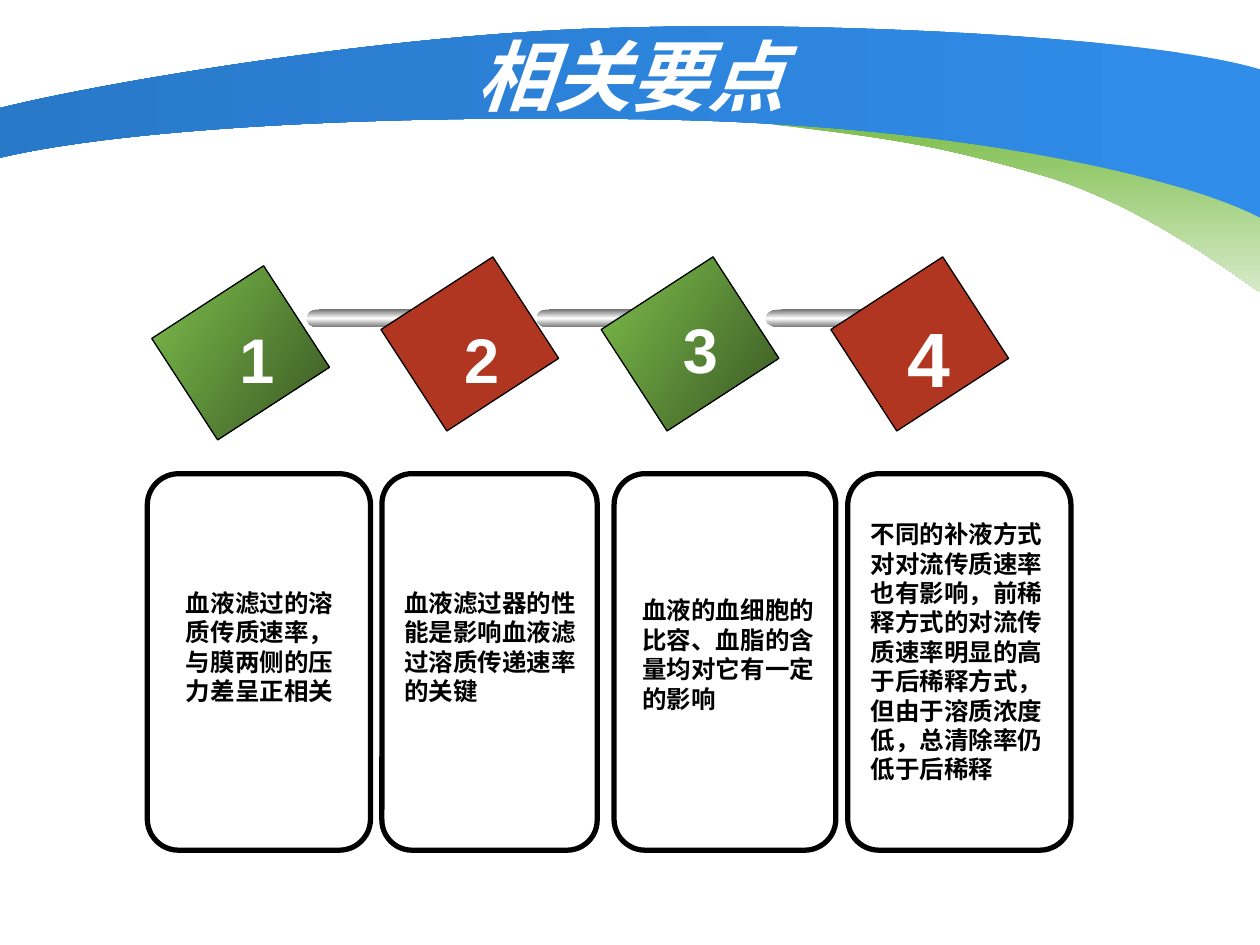
import pptx
import pptx.dml.color
import pptx.enum.shapes
import pptx.enum.text
import pptx.oxml.ns
import pptx.util
from lxml import etree

Cm = pptx.util.Cm
Pt = pptx.util.Pt
RGBColor = pptx.dml.color.RGBColor
Shape = pptx.enum.shapes.MSO_SHAPE
Align = pptx.enum.text.PP_ALIGN
Anchor = pptx.enum.text.MSO_ANCHOR
qn = pptx.oxml.ns.qn

WHITE = RGBColor(0xFF, 0xFF, 0xFF)
BLACK = RGBColor(0x00, 0x00, 0x00)
RED = RGBColor(0xB1, 0x36, 0x21)
GREEN = RGBColor(0x7D, 0xBE, 0x4C)
DARK_GREEN = RGBColor(0x39, 0x57, 0x23)
PALE_GREEN = RGBColor(0xD6, 0xEA, 0xC8)
BLUE = RGBColor(0x30, 0x8D, 0xEA)
DARK_BLUE = RGBColor(0x29, 0x79, 0xC9)
GRAY = RGBColor(0x75, 0x75, 0x75)

METAL = ([GRAY, WHITE, GRAY], 90)
LEAF = ([GREEN, DARK_GREEN], 33)

TITLE = {"name": "DejaVu Sans", "size": Pt(44), "bold": True, "italic": True}
NUMBER = {"name": "Arial", "size": Pt(36), "bold": True}
LAST_NUMBER = {**NUMBER, "size": Pt(44)}
BODY = {"name": "Arial", "size": Pt(14), "bold": True}

# Each outline is a start point and segments: 3 points for a curve, 1 for a line.
GREEN_SWOOSH = [
    (15.14, 2.46),
    [(17.86, 2.77), (18.8, 2.9), (20.93, 3.51)],
    [(23.04, 4.09), (25.2, 5.77), (25.4, 5.89)],
    [(25.43, 4.37)],
    [(24.43, 3.84), (21.21, 2.92), (19.51, 2.62)],
]
BLUE_BAND = [
    (0, 3.18),
    [(2.06, 2.69), (6.65, 2.29), (13.31, 2.41)],
    [(19.96, 2.54), (24.18, 3.73), (25.4, 4.39)],
    [(25.4, 1.4)],
    [(23.24, 0.74), (16.74, 0.43), (12.52, 0.56)],
    [(7.92, 0.66), (1.98, 1.68), (0, 2.18)],
]

# left, width
PANELS = [(2.97, 4.5), (7.7, 4.34), (12.38, 4.47), (17.09, 4.5)]
# left, top, fill
DIAMONDS = [(3.63, 5.77, LEAF), (8.25, 5.59, RED),
            (12.69, 5.59, LEAF), (17.32, 5.59, RED)]
# left, horizontal scale
RODS = [(6.19, 1), (10.82, 1), (15.44, 1.3)]
# preset, offset, top, width, height, line
ROD_PARTS = [
    (Shape.OVAL, 0, 6.24, 0.43, 0.36, None),
    (Shape.RECTANGLE, 0.24, 6.24, 2.08, 0.36, None),
    (Shape.OVAL, 2.13, 6.24, 0.38, 0.33, (WHITE, 1)),
    (Shape.OVAL, 2.34, 6.35, 0.1, 0.1, None),
]
NUMBERS = [
    ("1", (3.52, 6.34, 2.26, 1.78), NUMBER, Align.RIGHT),
    ("2", (9.1, 6.34, 1.22, 1.78), NUMBER, Align.CENTER),
    ("3", (13.51, 6.14, 1.22, 1.78), NUMBER, Align.CENTER),
    ("4", (18.05, 6.14, 1.37, 2.13), LAST_NUMBER, Align.CENTER),
]
POINTS = [
    ("血液滤过的溶质传质速率，与膜两侧的压力差呈正相关", (3.5, 9.93, 3.81, 4.42)),
    ("血液滤过器的性能是影响血液滤过溶质传递速率的关键", (7.9, 9.93, 3.99, 4.42)),
    ("血液的血细胞的比容、血脂的含量均对它有一定的影响", (12.7, 9.93, 3.99, 4.57)),
    ("不同的补液方式对对流传质速率也有影响，前稀释方式的对流传质速率明显的高于"
     "后稀释方式，但由于溶质浓度低，总清除率仍低于后稀释", (17.3, 10.34, 4.39, 5.59)),
]


class SlideBuilder:
    """Holds the current page and draws styled elements on it, in centimetres."""

    def __init__(self, page):
        self.page = page

    def paint(self, shape, fill, line=None):
        """Fill is None, a colour, or (colours, angle); line is (colour, points)."""
        shape.shadow.inherit = False
        if fill is None:
            shape.fill.background()
        elif isinstance(fill, RGBColor):
            shape.fill.solid()
            shape.fill.fore_color.rgb = fill
        else:
            self.gradient(shape, *fill)
        if line is None:
            shape.line.fill.background()
        else:
            shape.line.color.rgb, shape.line.width = line[0], Pt(line[1])

    def gradient(self, shape, colours, angle):
        """Evenly spaced stops, with the angle fixed to the page."""
        shape.fill.gradient()
        shape.fill.gradient_angle = -angle % 360
        element = shape._element.spPr.find(qn("a:gradFill"))
        element.set("rotWithShape", "0")
        stops = element.find(qn("a:gsLst"))
        for stop in list(stops):
            stops.remove(stop)
        for index, colour in enumerate(colours):
            position = 100000 * index // (len(colours) - 1)
            stop = etree.SubElement(stops, qn("a:gs"), pos=str(position))
            etree.SubElement(stop, qn("a:srgbClr"), val=str(colour))

    def preset(self, kind, place, fill, line=None, rotation=0):
        shape = self.page.shapes.add_shape(kind, *map(Cm, place))
        shape.rotation = rotation
        self.paint(shape, fill, line)
        return shape

    def outline(self, start, *segments, fill):
        """Draw all points as lines, then join each run of three into a curve."""
        corners = [(Cm(x), Cm(y)) for segment in segments for x, y in segment]
        builder = self.page.shapes.build_freeform(Cm(start[0]), Cm(start[1]))
        builder.add_line_segments(corners, close=True)
        shape = builder.convert_to_shape()
        lines = iter(list(shape._element.iter(qn("a:lnTo"))))
        for segment in segments:
            steps = [next(lines) for point in segment]
            if len(steps) == 3:
                curve = etree.Element(qn("a:cubicBezTo"))
                steps[0].addprevious(curve)
                for step in steps:
                    curve.append(step[0])
                    step.getparent().remove(step)
        self.paint(shape, fill)

    def text(self, words, place, style, colour, align=Align.LEFT, anchor=Anchor.TOP):
        box = self.page.shapes.add_textbox(*map(Cm, place))
        frame = box.text_frame
        frame.word_wrap = True
        frame.vertical_anchor = anchor
        para = frame.paragraphs[0]
        para.alignment = align
        span = para.add_run()
        span.text = words
        for name, value in style.items():
            setattr(span.font, name, value)
        span.font.color.rgb = colour


def main():
    deck = pptx.Presentation()
    deck.slide_width, deck.slide_height = Cm(25.4), Cm(19.05)
    slide = SlideBuilder(deck.slides.add_slide(deck.slide_layouts[6]))

    slide.outline(*GREEN_SWOOSH, fill=([GREEN, PALE_GREEN], 90))
    slide.outline(*BLUE_BAND, fill=([BLUE, DARK_BLUE], 180))
    slide.text("相关要点", (1.09, 0.72, 23.25, 1.57), TITLE, WHITE,
               Align.CENTER, Anchor.MIDDLE)

    for left, width in reversed(PANELS):
        panel = slide.preset(Shape.ROUNDED_RECTANGLE, (left, 9.55, width, 7.59),
                             None, (BLACK, 3))
        panel.adjustments[0] = 0.14

    for index, (left, top, fill) in enumerate(DIAMONDS):
        slide.preset(Shape.RECTANGLE, (left, top, 2.44, 2.69), fill, (BLACK, 0.75), 57)
        for start, scale in RODS[index:index + 1]:
            for kind, offset, rod_top, width, height, line in ROD_PARTS:
                place = (start + offset * scale, rod_top, width * scale, height)
                slide.preset(kind, place, METAL, line)

    for words, place, style, align in NUMBERS:
        slide.text(words, place, style, WHITE, align)
    for words, place in POINTS:
        anchor = Anchor.TOP if place == POINTS[-1][1] else Anchor.BOTTOM
        slide.text(words, place, BODY, BLACK, anchor=anchor)

    deck.save("out.pptx")


if __name__ == "__main__":
    main()
